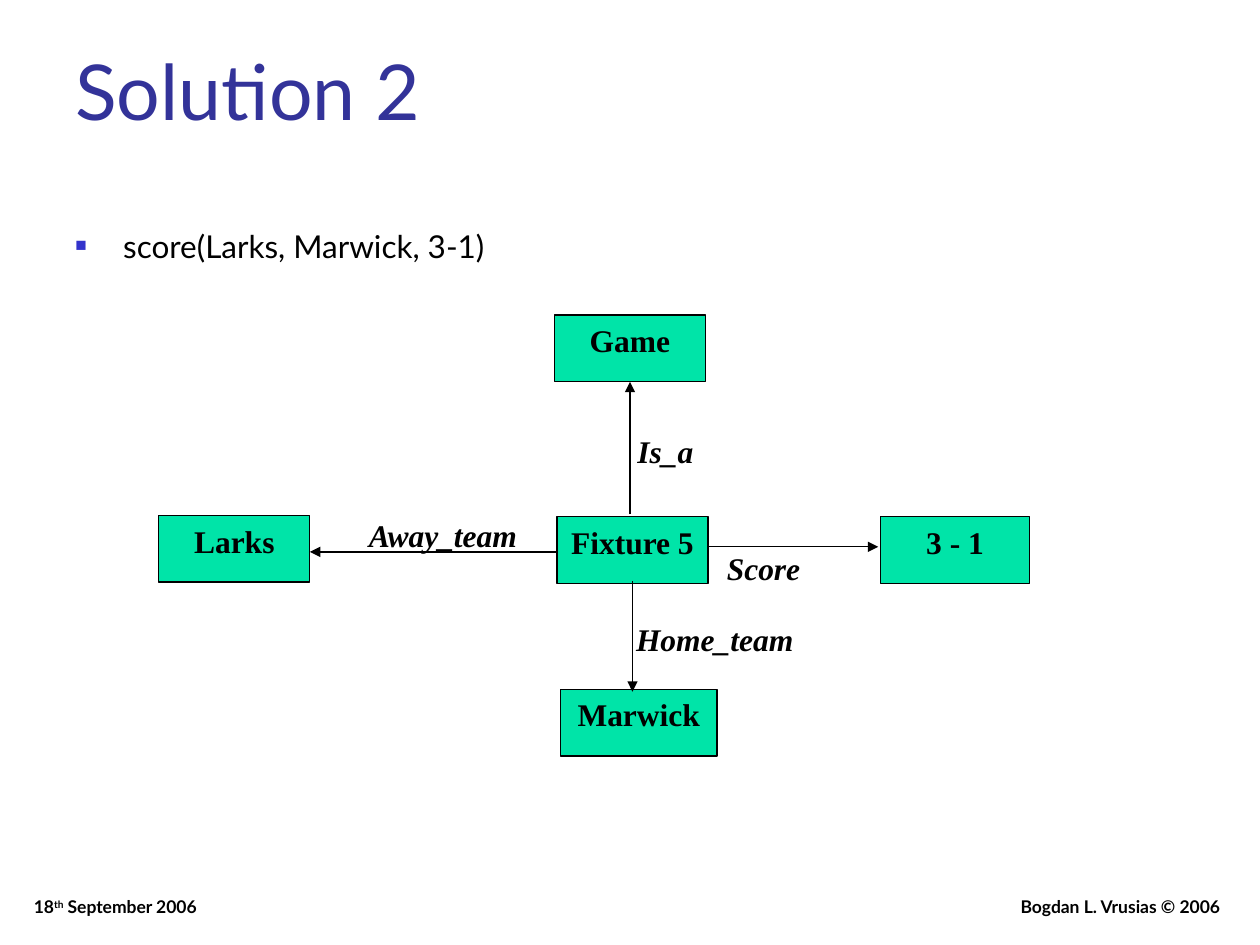
from pptx import Presentation
from pptx.dml.color import RGBColor
from pptx.enum.shapes import MSO_CONNECTOR as Connector, MSO_SHAPE as Shape
from pptx.enum.text import MSO_ANCHOR as Anchor, PP_ALIGN as Align
from pptx.oxml.ns import qn
from pptx.util import Inches, Pt
from lxml.etree import SubElement

UNIT = 0.1
COLUMNS, ROWS = 100, 75
SANS, SERIF = "Lato", "Times New Roman"
BLACK, GREEN, NAVY, BLUE = "000000", "00E4A8", "333399", "3333CC"
AWAY, HOME, RESULT = "Larks", "Marwick", "3-1"


def grid(*cells):
    return [Inches(cell * UNIT) for cell in cells]


def color(value):
    return RGBColor.from_string(value)


def set_text(shape, parts, size, font=SANS, ink=BLACK, bold=False,
             italic=False, align=Align.LEFT, anchor=Anchor.TOP):
    frame = shape.text_frame
    frame.word_wrap = True
    frame.vertical_anchor = anchor
    para = frame.paragraphs[0]
    para.alignment = align
    para.font.name, para.font.size = font, Pt(size)
    para.font.bold, para.font.italic = bold, italic
    para.font.color.rgb = color(ink)
    for part in parts:
        para.add_run().text = part
    return para


def add_text(page, box, *parts, **style):
    return set_text(page.shapes.add_textbox(*grid(*box)), parts, **style)


def add_title(page, box):
    add_text(page, box, "Solution 2", size=44, ink=NAVY)


def add_body(page, box):
    para = add_text(page, box, f"score({AWAY}, {HOME}, {RESULT})", size=18)
    para.space_before = Pt(4.5)
    props = para._p.get_or_add_pPr()
    props.set("marL", str(Inches(0.38)))
    props.set("indent", str(Inches(-0.38)))
    bullet_color = SubElement(props, qn("a:buClr"))
    SubElement(bullet_color, qn("a:srgbClr")).set("val", BLUE)
    SubElement(props, qn("a:buSzPct")).set("val", "60000")
    SubElement(props, qn("a:buFont")).set("typeface", SERIF)
    SubElement(props, qn("a:buChar")).set("char", "■")
    props.append(props.find(qn("a:defRPr")))


def add_node(page, box, name):
    node = page.shapes.add_shape(Shape.RECTANGLE, *grid(*box))
    node.shadow.inherit = False
    node.fill.solid()
    node.fill.fore_color.rgb = color(GREEN)
    node.line.color.rgb = color(BLACK)
    node.line.width = Pt(0.75)
    set_text(node, [name], 18, SERIF, bold=True, align=Align.CENTER)


def add_arrow(page, start, end):
    arrow = page.shapes.add_connector(Connector.STRAIGHT, *grid(*start, *end))
    arrow.line.color.rgb = color(BLACK)
    arrow.line.width = Pt(0.75)
    SubElement(arrow.line._get_or_add_ln(), qn("a:tailEnd")).set("type", "triangle")
    SubElement(arrow._element.spPr, qn("a:effectLst"))


def add_network(page, box):
    left, top, width, height = box
    middle, center = top + 16, left + 31.6
    node_width, node_height = 12, 5.3
    right = left + width
    nodes = [
        ("Game", left + 31.4, top, node_width),
        (AWAY, left, middle - 0.1, node_width),
        ("Fixture 5", center, middle, node_width),
        ("3 - 1", right - 11.8, middle, 11.8),
        (HOME, left + 31.9, top + height - node_height, 12.4),
    ]
    for name, x, y, wide in nodes:
        add_node(page, (x, y, wide, node_height), name)

    axis = left + 37.4
    arrows = [
        ((center + node_width, middle + 2.4), (right - 12, middle + 2.4)),
        ((center, middle + 2.8), (left + node_width, middle + 2.8)),
        ((axis, middle - 0.2), (axis, top + node_height)),
        ((axis + 0.2, middle + 5.1), (axis + 0.2, top + height - 5.1)),
    ]
    for start, end in arrows:
        add_arrow(page, start, end)

    labels = [
        ("Is_a", axis - 0.4, top + 8.8, 16.5, 5.4),
        ("Score", center + 12.5, middle + 2.1, 9, 3.5),
        ("Home_team", axis - 0.5, top + 23.7, 14.7, 5.2),
        ("Away_team", left + 15.7, middle - 0.5, 15, 5.3),
    ]
    for name, *place in labels:
        add_text(page, place, name, size=18, font=SERIF, bold=True, italic=True)


def add_footer(page, box):
    left, top, width, height = box
    style = dict(size=10, bold=True, anchor=Anchor.BOTTOM)
    date = add_text(page, (left, top, 56.7, height),
                    "18", "th", " September 2006", **style)
    date.runs[1]._r.get_or_add_rPr().set("baseline", "30000")
    add_text(page, (left + width - 20.8, top, 20.8, height),
             "Bogdan L. Vrusias © 2006", align=Align.RIGHT, **style)


def main():
    deck = Presentation()
    deck.slide_width, deck.slide_height = grid(COLUMNS, ROWS)
    page = deck.slides.add_slide(deck.slide_layouts[6])
    add_footer(page, (1.7, 68.3, 96.1, 5))
    add_title(page, (5, 3, 90, 12.5))
    add_body(page, (5, 17.5, 90, 49.5))
    add_network(page, (12.6, 25, 69.1, 35))
    deck.save("out.pptx")


if __name__ == "__main__":
    main()
